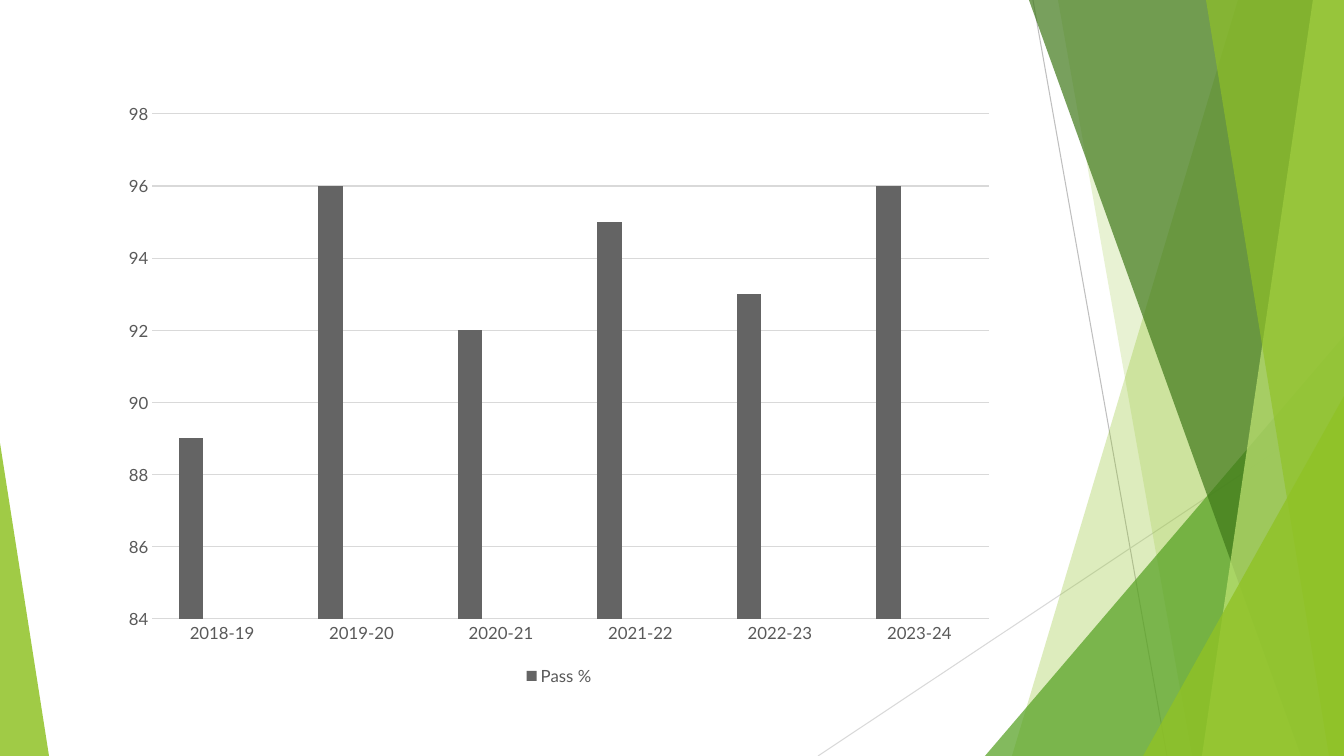
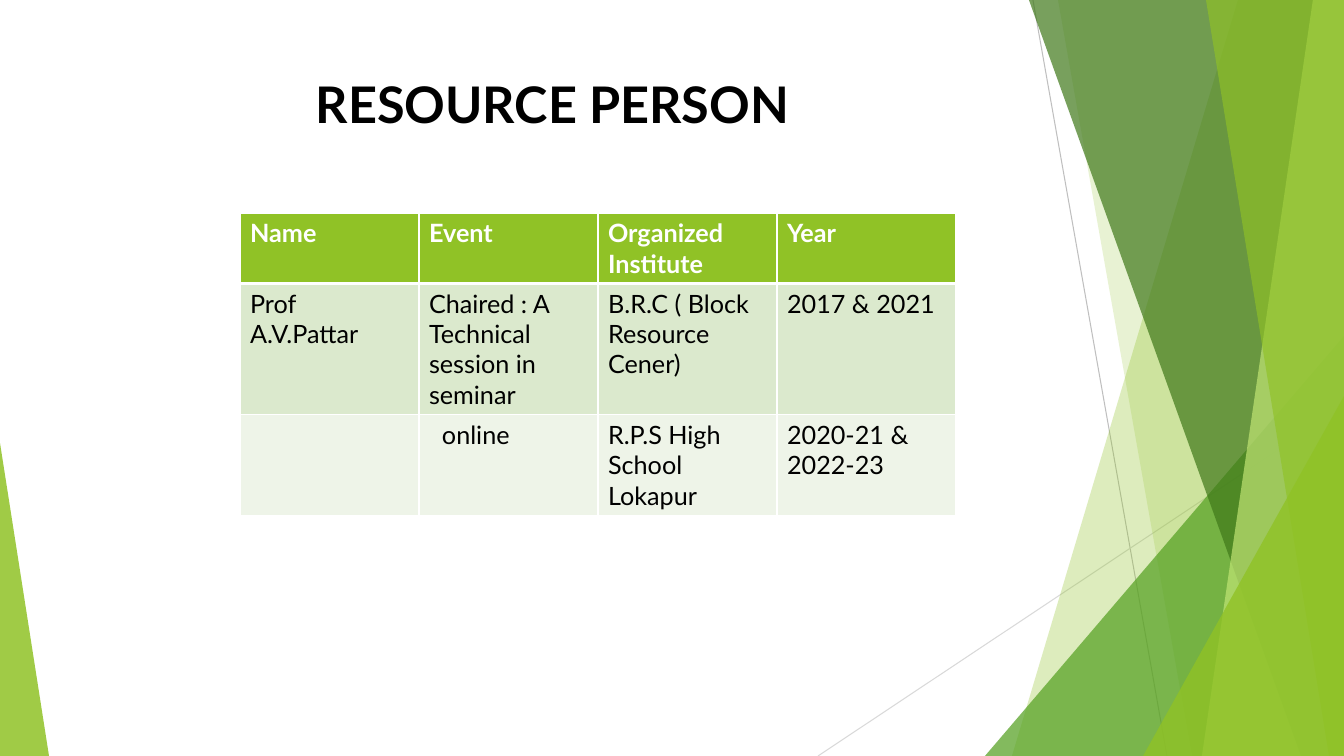
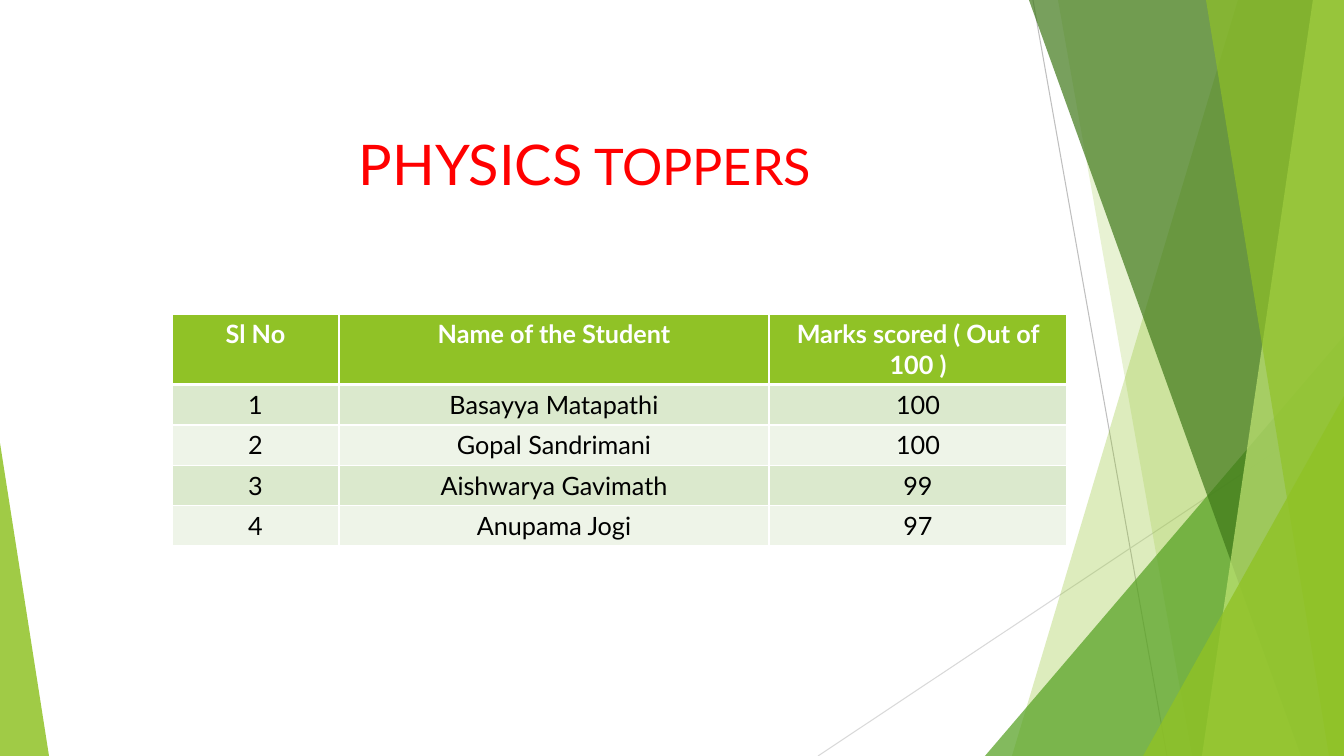
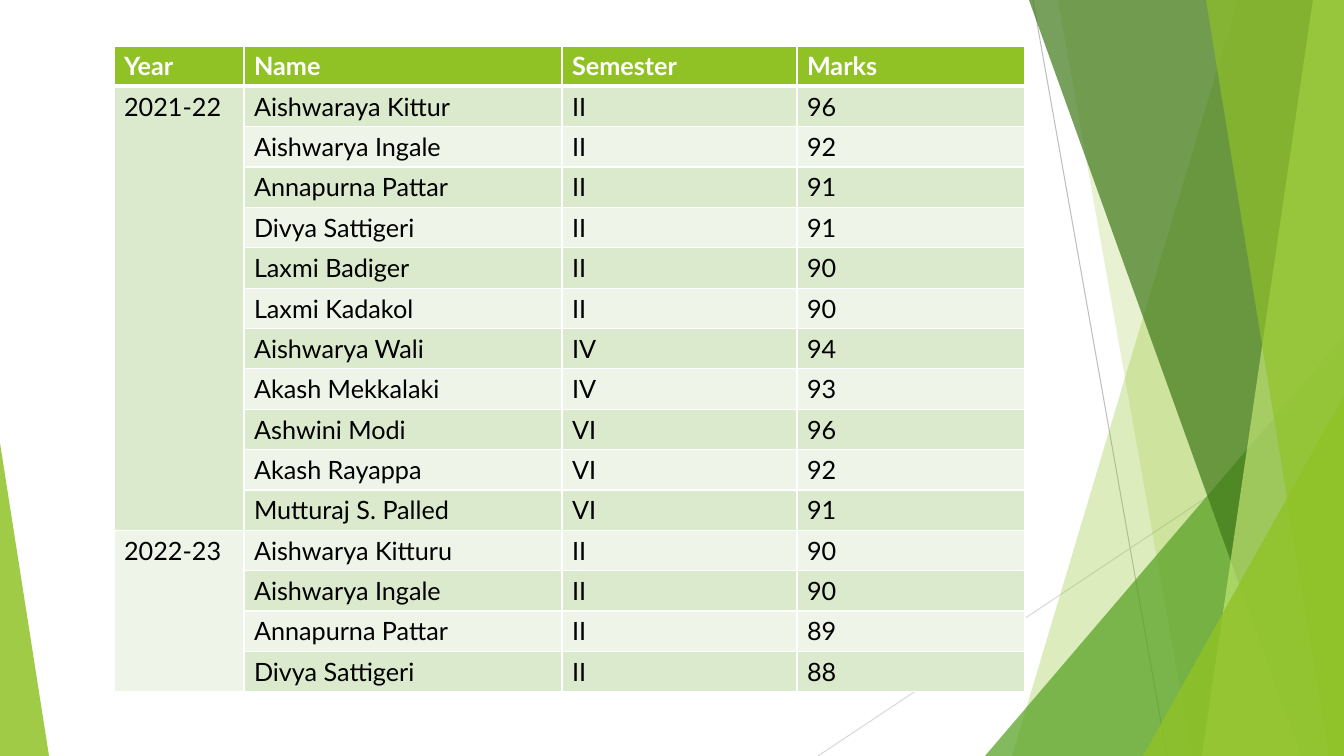
import lxml.etree
import pptx
import pptx.chart.data
import pptx.dml.color
import pptx.enum.chart
import pptx.enum.shapes
import pptx.enum.text
import pptx.oxml.ns
import pptx.util

RGB = pptx.dml.color.RGBColor
LEFT = pptx.enum.text.PP_ALIGN.LEFT
MID = pptx.enum.text.PP_ALIGN.CENTER
qn = pptx.oxml.ns.qn

LIME = RGB(0x90, 0xC2, 0x26)
LEAF = RGB(0x54, 0xA0, 0x21)
MOSS = RGB(0x3F, 0x78, 0x19)
PALE = RGB(0xC0, 0xE4, 0x74)
BAND = RGB(0xDB, 0xE9, 0xCD)
MIST = RGB(0xEE, 0xF4, 0xE8)
WHITE = RGB(0xFF, 0xFF, 0xFF)
BLACK = RGB(0, 0, 0)
RED = RGB(0xFF, 0, 0)
INK = RGB(0x59, 0x59, 0x59)
GREY = RGB(0xBF, 0xBF, 0xBF)
RULE = RGB(0xD9, 0xD9, 0xD9)
BARS = (RGB(0x64, 0x64, 0x64), RGB(0xB4, 0xB4, 0xB4), RGB(0x8C, 0x8C, 0x8C))

WIDE, HIGH = 1344, 756
SCALE = 12192000 / WIDE
FONT = "Lato"
ROW = 40

LINES = ((1033, 0, 1167, HIGH, GREY), (WIDE, 406, 818, HIGH, RULE))
BACK = ((1238, 1012, LIME, 30), (1058, 1192, LIME, 20))
FRONT = ((1029, 1301, MOSS, 70), (1313, 1202, PALE, 70), (1206, 1329, LIME, 65))
WEDGE = (985, 336, 359, 420, 1, LEAF, 72)
ENDS = ((1143, 396, 201, 360, 1, LIME, 80), (0, 443, 49, 313, 0, LIME, 85))


def px(size):
    return pptx.util.Emu(round(size * SCALE))


def tag(root, name, **attrs):
    return lxml.etree.SubElement(root, qn(name), **attrs)


def style(font, size, color, bold=False):
    font.name = FONT
    font.size = pptx.util.Pt(size)
    font.color.rgb = color
    font.bold = bold


def write(frame, text, size=18, color=BLACK, bold=False, align=LEFT):
    para = frame.paragraphs[0]
    para.alignment = align
    run = para.add_run()
    run.text = text
    style(run.font, size, color, bold)


class Deck:
    """Holds the shared style and the current slide."""

    def __init__(self):
        self.show = pptx.Presentation()
        self.show.slide_width, self.show.slide_height = px(WIDE), px(HIGH)
        self.shapes = None

    def slide(self):
        self.shapes = self.show.slides.add_slide(self.show.slide_layouts[6]).shapes
        for line in LINES:
            self.line(*line)
        for pane in BACK:
            self.pane(*pane)
        self.wedge(*WEDGE)
        for pane in FRONT:
            self.pane(*pane)
        for wedge in ENDS:
            self.wedge(*wedge)

    def line(self, left, top, right, low, color):
        kind = pptx.enum.shapes.MSO_CONNECTOR.STRAIGHT
        line = self.shapes.add_connector(kind, px(left), px(top), px(right), px(low))
        line.line.color.rgb = color
        line.line.width = pptx.util.Pt(0.75)
        tag(line.element.spPr, "a:effectLst")

    def tint(self, shape, color, alpha):
        shape.shadow.inherit = False
        shape.line.fill.background()
        shape.fill.solid()
        shape.fill.fore_color.rgb = color
        tone = shape.element.spPr.find(qn("a:solidFill")).find(qn("a:srgbClr"))
        tag(tone, "a:alpha", val=str(alpha * 1000))

    def pane(self, top, low, color, alpha):
        form = self.shapes.build_freeform(top, 0, scale=SCALE)
        form.add_line_segments(((WIDE, 0), (WIDE, HIGH), (low, HIGH)), close=True)
        self.tint(form.convert_to_shape(), color, alpha)

    def wedge(self, left, top, width, height, tip, color, alpha):
        kind = pptx.enum.shapes.MSO_SHAPE.ISOSCELES_TRIANGLE
        shape = self.shapes.add_shape(kind, px(left), px(top), px(width), px(height))
        shape.adjustments[0] = tip
        self.tint(shape, color, alpha)

    def title(self, left, top, width, height, *runs):
        box = self.shapes.add_textbox(px(left), px(top), px(width), px(height))
        box.text_frame.word_wrap = True
        for text, form in runs:
            write(box.text_frame, text, align=MID, **form)

    def cell(self, cell, text, row, align):
        props = cell._tc.get_or_add_tcPr()
        sides = {"L": 1, "R": 1, "T": 3 if row == 1 else 1, "B": 1 if row else 3}
        for side, width in sides.items():
            edge = tag(props, "a:ln" + side, w=str(pptx.util.Pt(width)))
            tag(tag(edge, "a:solidFill"), "a:srgbClr", val=str(WHITE))
        cell.fill.solid()
        cell.fill.fore_color.rgb = (BAND if row % 2 else MIST) if row else LIME
        if text:
            color = BLACK if row else WHITE
            write(cell.text_frame, text, color=color, bold=not row, align=align)

    def table(self, left, top, cols, rows, data, align=LEFT):
        frame = self.shapes.add_table(
            len(rows), len(cols), px(left), px(top), px(sum(cols)), px(sum(rows)))
        grid = frame.table
        for col, width in zip(grid.columns, cols):
            col.width = px(width)
        for row, height in zip(grid.rows, rows):
            row.height = px(height)
        for y, texts in enumerate(data):
            for x, text in enumerate(texts):
                self.cell(grid.cell(y, x), text, y, align)
        return grid

    def chart(self, left, top, width, height, cats, series):
        data = pptx.chart.data.CategoryChartData()
        data.categories = cats
        for name, vals in series:
            data.add_series(name, vals)
        enum = pptx.enum.chart
        chart = self.shapes.add_chart(
            enum.XL_CHART_TYPE.COLUMN_CLUSTERED,
            px(left), px(top), px(width), px(height), data).chart
        chart.has_title = False
        style(chart.font, 12, INK)
        plot = chart.plots[0]
        plot.vary_by_categories = False
        plot.gap_width, plot.overlap = 219, -27
        for item, color in zip(plot.series, BARS):
            item.format.fill.solid()
            item.format.fill.fore_color.rgb = color
            item.invert_if_negative = False
        for axis in (chart.category_axis, chart.value_axis):
            axis.major_tick_mark = enum.XL_TICK_MARK.NONE
            style(axis.tick_labels.font, 12, INK)
        scale = chart.value_axis
        scale.minimum_scale, scale.maximum_scale, scale.major_unit = 84, 98, 2
        scale.format.line.fill.background()
        for line in (scale.major_gridlines.format.line,
                     chart.category_axis.format.line):
            line.color.rgb = RULE
            line.width = pptx.util.Pt(0.75)
        chart.has_legend = True
        chart.legend.position = enum.XL_LEGEND_POSITION.BOTTOM
        chart.legend.include_in_layout = False
        style(chart.legend.font, 12, INK)
        place = next(chart.element.iter(qn("c:legendPos")))
        for index in range(len(series) - 1, 0, -1):
            entry = tag(place.getparent(), "c:legendEntry")
            tag(entry, "c:idx", val=str(index))
            tag(entry, "c:delete", val="1")
            place.addnext(entry)


def main():
    deck = Deck()

    deck.slide()
    years = ("2018-19", "2019-20", "2020-21", "2021-22", "2022-23", "2023-24")
    blank = (None,) * len(years)
    deck.chart(111, 92, 896, 598, years, (
        ("Pass %", (89, 96, 92, 95, 93, 96)),
        ("Series 2", blank),
        ("Series 3", blank)))

    deck.slide()
    deck.title(90, 68, 925, 96, ("RESOURCE PERSON", {"size": 36, "bold": True}))
    events = deck.table(240, 213, (179,) * 4, (70, 131, 101), (
        ("Name", "Event", "Organized Institute", "Year"),
        ("Prof A.V.Pattar", "Chaired : A Technical session in seminar",
         "B.R.C ( Block Resource Cener)", "2017 & 2021"),
        ("", "online", "R.P.S High School Lokapur", "2020-21 & 2022-23")))
    events.cell(2, 1).margin_left = px(23)

    deck.slide()
    deck.title(158, 125, 854, 93,
               ("PHYSICS", {"size": 40, "color": RED}),
               (" TOPPERS", {"size": 36, "color": RED}))
    deck.table(172, 314, (167, 430, 298), (70,) + (ROW,) * 4, (
        ("Sl No", "Name of the Student", "Marks scored ( Out of 100 )"),
        ("1", "Basayya Matapathi", "100"),
        ("2", "Gopal Sandrimani", "100"),
        ("3", "Aishwarya Gavimath", "99"),
        ("4", "Anupama Jogi", "97")), align=MID)

    deck.slide()
    marks = deck.table(114, 46, (130, 318, 235, 228), (ROW,) * 16, (
        ("Year", "Name", "Semester", "Marks"),
        ("2021-22", "Aishwaraya Kittur", "II", "96"),
        ("", "Aishwarya Ingale", "II", "92"),
        ("", "Annapurna Pattar", "II", "91"),
        ("", "Divya Sattigeri", "II", "91"),
        ("", "Laxmi Badiger", "II", "90"),
        ("", "Laxmi Kadakol", "II", "90"),
        ("", "Aishwarya Wali", "IV", "94"),
        ("", "Akash Mekkalaki", "IV", "93"),
        ("", "Ashwini Modi", "VI", "96"),
        ("", "Akash Rayappa", "VI", "92"),
        ("", "Mutturaj S. Palled", "VI", "91"),
        ("2022-23", "Aishwarya Kitturu", "II", "90"),
        ("", "Aishwarya Ingale", "II", "90"),
        ("", "Annapurna Pattar", "II", "89"),
        ("", "Divya Sattigeri", "II", "88")))
    for first, last in ((1, 11), (12, 15)):
        marks.cell(first, 0).merge(marks.cell(last, 0))

    deck.show.save("out.pptx")


if __name__ == "__main__":
    main()
